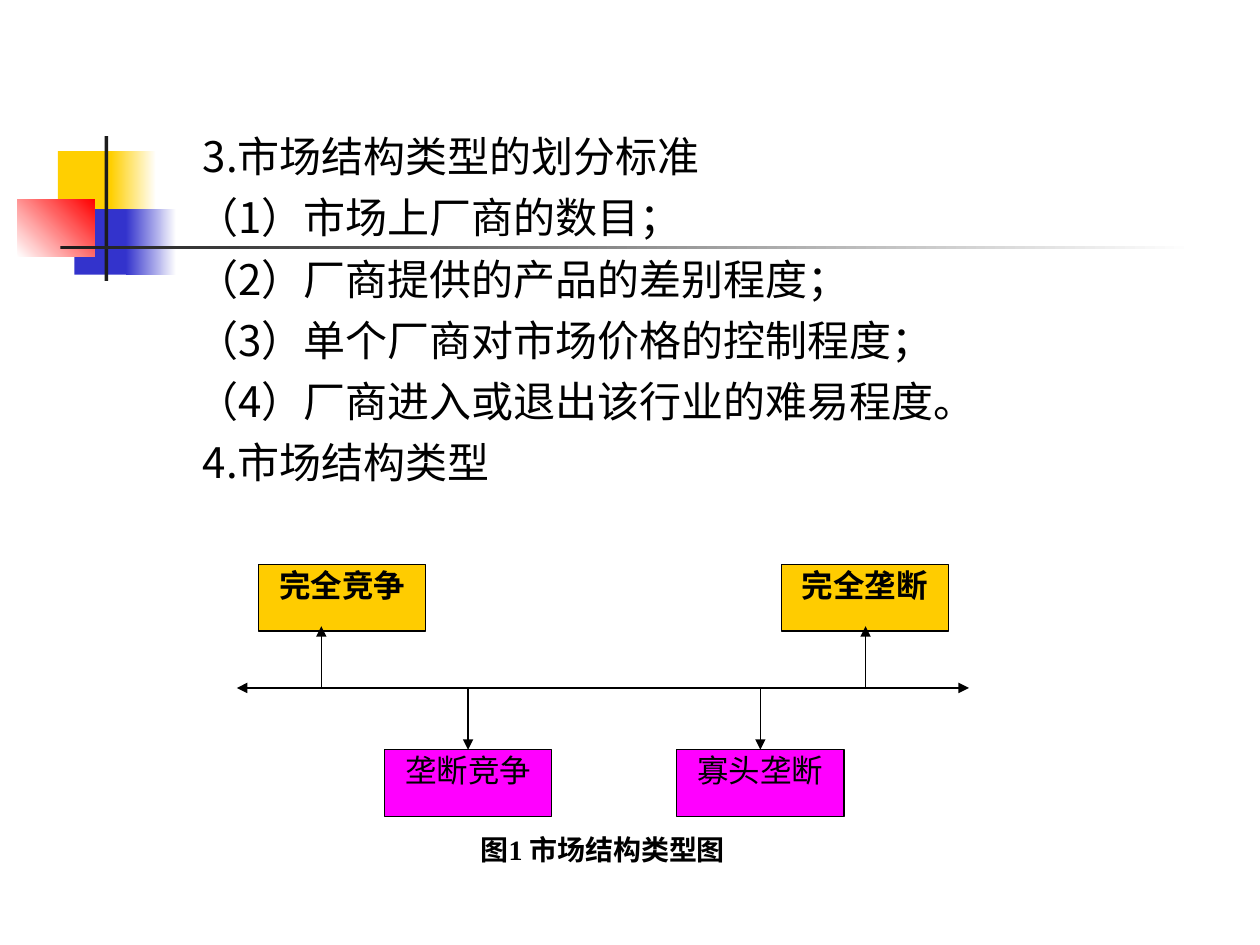
from dataclasses import dataclass

from lxml.etree import SubElement
from pptx import Presentation
from pptx.dml.color import RGBColor
from pptx.enum.shapes import MSO_CONNECTOR as Connector, MSO_SHAPE as Shape
from pptx.enum.text import MSO_ANCHOR as Anchor, PP_ALIGN as Align
from pptx.oxml.ns import qn
from pptx.util import Inches, Pt


@dataclass(frozen=True)
class Theme:
    gold: str = "FFCF01"
    blue: str = "3333CC"
    red: str = "FF0000"
    dark: str = "1C1C1C"
    white: str = "FFFFFF"
    black: str = "000000"
    extreme: str = "FFCC00"
    middle: str = "FF00FF"
    sans: str = "Noto Sans CJK SC"
    serif: str = "Times New Roman"
    body_size: int = 24
    box_size: int = 18
    caption_size: int = 16
    pitch: int = 35
    line: float = 0.75


theme = Theme()


def rgb(value):
    return RGBColor.from_string(value)


def add_rectangle(slide, left, top, width, height, fill, fade_to=None, angle=0, outline=None):
    shape = slide.shapes.add_shape(
        Shape.RECTANGLE, Inches(left), Inches(top), Inches(width), Inches(height))
    shape.shadow.inherit = False
    if fade_to:
        shape.fill.gradient()
        shape.fill.gradient_angle = angle
        for stop, color in zip(shape.fill.gradient_stops, (fill, fade_to)):
            stop.color.rgb = rgb(color)
    else:
        shape.fill.solid()
        shape.fill.fore_color.rgb = rgb(fill)
    if outline:
        shape.line.color.rgb = rgb(outline)
        shape.line.width = Pt(theme.line)
    else:
        shape.line.fill.background()
    return shape


def add_run(paragraph, text, size, font=theme.sans, bold=False):
    run = paragraph.add_run()
    run.text = text
    run.font.size = Pt(size)
    run.font.bold = bold
    run.font.name = font
    run.font.color.rgb = rgb(theme.black)
    SubElement(run.font._element, qn("a:ea")).set("typeface", theme.sans)


def add_label(slide, box, text, fill, size, font, bold, outline=None):
    shape = add_rectangle(slide, *box, fill, outline=outline)
    frame = shape.text_frame
    frame.word_wrap = True
    frame.vertical_anchor = Anchor.TOP
    frame.margin_top = Inches(0.01)
    paragraph = frame.paragraphs[0]
    paragraph.alignment = Align.CENTER
    add_run(paragraph, text, size, font, bold)
    return shape


def add_arrow(slide, start, end, both_ends=False, target=None):
    arrow = slide.shapes.add_connector(
        Connector.STRAIGHT, *(Inches(value) for value in (*start, *end)))
    arrow.line.color.rgb = rgb(theme.black)
    arrow.line.width = Pt(theme.line)
    line = arrow.line._get_or_add_ln()
    for tag in ("a:headEnd", "a:tailEnd") if both_ends else ("a:tailEnd",):
        SubElement(line, qn(tag)).set("type", "triangle")
    SubElement(arrow._element.spPr, qn("a:effectLst"))
    if target is not None:
        arrow.end_connect(target, 0)


def add_decoration(slide, left, top):
    # Coloured blocks, each fading to white
    add_rectangle(slide, left + 0.32, top + 0.12, 0.48, 0.52, theme.gold)
    add_rectangle(slide, left + 0.74, top + 0.12, 0.36, 0.52, theme.gold, theme.white)
    add_rectangle(slide, left + 0.45, top + 0.58, 0.46, 0.52, theme.blue)
    add_rectangle(slide, left + 0.86, top + 0.58, 0.4, 0.52, theme.blue, theme.white)
    add_rectangle(slide, left, top + 0.5, 0.61, 0.46, theme.white, theme.red, angle=45)
    # Crossing bars
    add_rectangle(slide, left + 0.69, top, 0.03, 1.15, theme.dark)
    add_rectangle(slide, left + 0.34, top + 0.87, 9, 0.03, theme.dark, theme.white)


def add_outline(slide, left, top, width, height):
    entries = (
        (True, "3.市场结构类型的划分标准"),
        (False, "（1）市场上厂商的数目；"),
        (False, "（2）厂商提供的产品的差别程度；"),
        (False, "（3）单个厂商对市场价格的控制程度；"),
        (False, "（4）厂商进入或退出该行业的难易程度。"),
        (True, "4.市场结构类型"),
    )
    box = slide.shapes.add_textbox(Inches(left), Inches(top), Inches(width), Inches(height))
    frame = box.text_frame
    frame.word_wrap = True
    frame.margin_left = frame.margin_top = 0
    for index, (heading, text) in enumerate(entries):
        paragraph = frame.add_paragraph() if index else frame.paragraphs[0]
        paragraph.line_spacing = Pt(theme.pitch)
        if heading:
            paragraph._p.get_or_add_pPr().set("marL", str(Inches(0.05)))
        add_run(paragraph, text, theme.body_size)


def add_market_diagram(slide, left, top, width):
    box_width, box_height = 1.33, 0.53
    axis = top + 0.98
    lower = top + 1.47

    # Extremes above the axis, mixed forms below
    for offset, text in ((0.17, "完全竞争"), (4.32, "完全垄断")):
        add_label(slide, (left + offset, top, box_width, box_height), text,
                  theme.extreme, theme.box_size, theme.sans, True, theme.black)
    mixed = [
        add_label(slide, (left + offset, lower, box_width, box_height), text,
                  theme.middle, theme.box_size, theme.serif, False, theme.black)
        for offset, text in ((1.17, "垄断竞争"), (3.49, "寡头垄断"))
    ]

    # Axis and pointers
    add_arrow(slide, (left, axis), (left + width, axis), both_ends=True)
    for offset in (0.67, 4.99):
        add_arrow(slide, (left + offset, axis), (left + offset, top + 0.49))
    for box in mixed:
        center = (box.left + box.width / 2) / Inches(1)
        add_arrow(slide, (center, axis), (center, lower), target=box)

    # Caption
    add_label(slide, (left + 1.33, top + 2.12, 3.15, box_height), "图1 市场结构类型图",
              theme.white, theme.caption_size, theme.serif, True)


def main():
    presentation = Presentation()
    presentation.slide_width = Inches(10)
    presentation.slide_height = Inches(7.5)
    slide = presentation.slides.add_slide(presentation.slide_layouts[6])
    add_decoration(slide, 0.14, 1.08)
    add_outline(slide, 1.56, 0.95, 7.69, 3)
    add_market_diagram(slide, 1.88, 4.48, 5.81)
    presentation.save("out.pptx")


if __name__ == "__main__":
    main()
